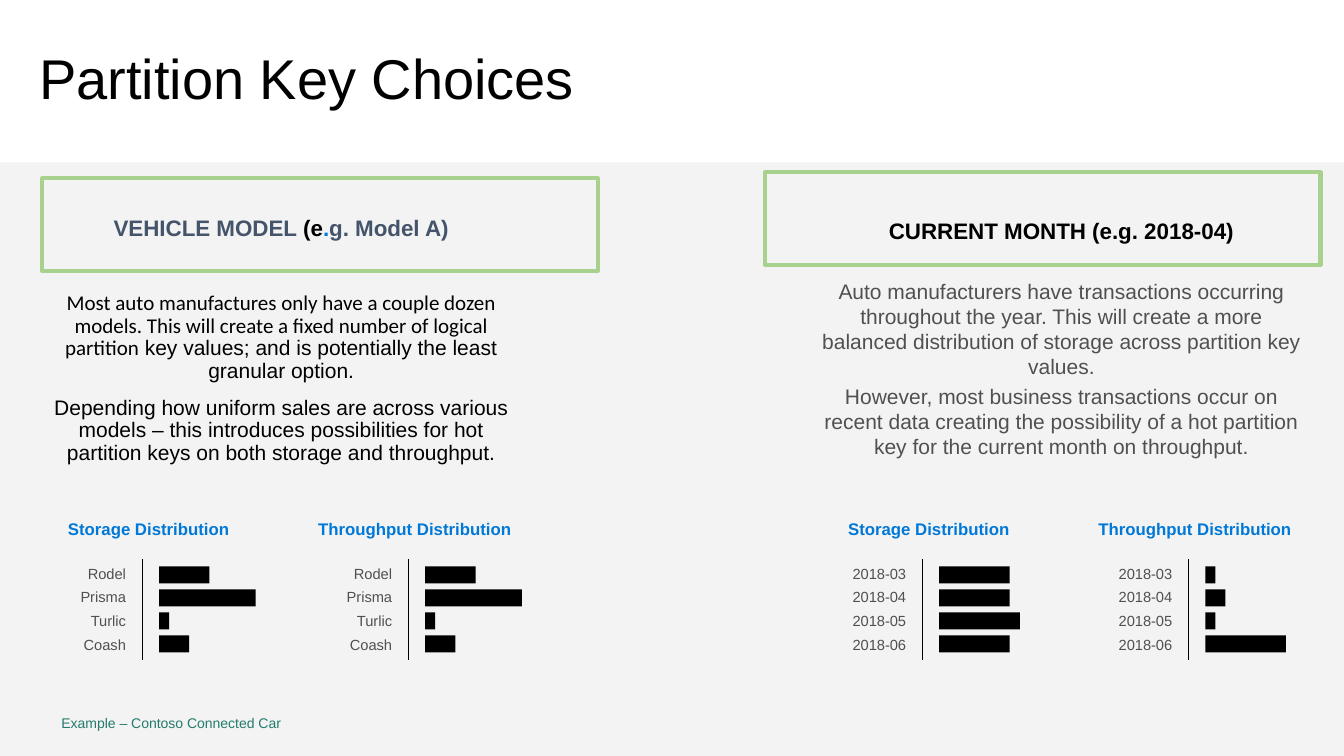
import pptx
import pptx.util
import pptx.dml.color
import pptx.enum.shapes
import pptx.enum.text
from lxml import etree

Pt = pptx.util.Pt
ALIGN = pptx.enum.text.PP_ALIGN
RECT = pptx.enum.shapes.MSO_SHAPE.RECTANGLE
LINE = pptx.enum.shapes.MSO_CONNECTOR.STRAIGHT
NS = "http://schemas.openxmlformats.org/drawingml/2006/main"
HUES = {"black": "000000", "panel": "F2F2F2", "slate": "44546A", "blue": "0078D7",
        "gray": "505050", "teal": "227B6D", "green": "A9D18E"}
RGB = {name: pptx.dml.color.RGBColor.from_string(code) for name, code in HUES.items()}

deck = pptx.Presentation()
deck.slide_width, deck.slide_height = Pt(960), Pt(540)
slide = deck.slides.add_slide(deck.slide_layouts[6])
shapes = slide.shapes


def add_text(box, paras, align, space=1.0, inset=True, middle=False):
    """Each paragraph is (space before, runs); a run is (text, size, hue, bold, font)."""
    frame = shapes.add_textbox(*map(Pt, box)).text_frame
    frame.word_wrap = True
    if not inset:
        frame.margin_left = frame.margin_right = frame.margin_top = frame.margin_bottom = 0
    if middle:
        frame.vertical_anchor = pptx.enum.text.MSO_ANCHOR.MIDDLE
    for i, (gap, runs) in enumerate(paras):
        para = frame.add_paragraph() if i else frame.paragraphs[0]
        para.alignment, para.line_spacing = align, space
        para.space_before = Pt(gap)
        for text, size, hue, bold, font in runs:
            run = para.add_run()
            run.text = text
            run.font.size, run.font.bold, run.font.name = Pt(size), bold, font
            run.font.color.rgb = RGB[hue]


def add_rect(box, fill=None, line=None):
    rect = shapes.add_shape(RECT, *map(Pt, box))
    rect.shadow.inherit = False
    if fill:
        rect.fill.solid()
        rect.fill.fore_color.rgb = RGB[fill]
    else:
        rect.fill.background()
    if line:
        rect.line.color.rgb, rect.line.width = RGB[line], Pt(3)
    else:
        rect.line.fill.background()
    return rect


# Background panel, slightly see-through
panel = add_rect((0, 115.9, 960, 424.1), "panel")
tint = panel.fill._xPr.find(f".//{{{NS}}}srgbClr")
etree.SubElement(tint, f"{{{NS}}}alpha", val="89000")

# Title
add_text((20.9, 23, 918, 70.6), [(0, [("Partition Key Choices", 40, "black", False, "Arial")])],
         ALIGN.LEFT, 0.9, middle=True)

# Left choice
add_text((20.9, 151.9, 360, 185.8), [
    (0, [("VEHICLE MODEL ", 16, "slate", True, "Arial"), ("(e", 16, "black", True, "Arial"),
         (".", 16, "blue", True, "Arial"), ("g. Model A)", 16, "slate", True, "Arial")]),
    (36, [("Most auto manufactures only have a couple dozen models. This will create a fixed "
           "number of logical partition", 15, "black", False, "Calibri"),
          (" key values; and is potentially the least granular option.",
           15, "black", False, "Arial")]),
    (10, [("Depending how uniform sales are across various models – this introduces "
           "possibilities for hot partition keys on both storage and throughput.",
           15, "black", False, "Arial")])], ALIGN.CENTER, 0.9)

# Right choice
add_text((578.2, 151.9, 360, 182.9), [
    (0, [("CURRENT MONTH (e.g. 2018-04)", 16, "black", True, "Arial")]),
    (24, [("Auto manufacturers have transactions occurring throughout the year. This will "
           "create a more balanced distribution of storage across partition key values.",
           15, "gray", False, "Arial")]),
    (3, [("However, most business transactions occur on recent data creating the possibility "
          "of a hot partition key for the current month on throughput.",
          15, "gray", False, "Arial")])], ALIGN.CENTER)

# Bar sketches: two per choice, 7.2 points of bar per unit
models = ["Rodel", "Prisma", "Turlic", "Coash"]
months = ["2018-03", "2018-04", "2018-05", "2018-06"]
plots = [(0, "Storage", models, [5, 9.6, 1, 3]),
         (190.1, "Throughput", models, [5, 9.6, 1, 3]),
         (557.3, "Storage", months, [7, 7, 8, 7]),
         (747.4, "Throughput", months, [1, 2, 1, 8])]
for left, topic, names, sizes in plots:
    add_text((left + 25.2, 367.2, 162, 21.6),
             [(0, [(f"{topic} Distribution", 12, "blue", True, "Arial")])], ALIGN.CENTER)
    for i, (name, size) in enumerate(zip(names, sizes)):
        add_text((left + 30.2, 404.6 + 16.85 * i, 59.8, 11.5),
                 [(0, [(name, 10.5, "gray", False, "Arial")])],
                 ALIGN.RIGHT, 0.9, inset=False, middle=True)
        add_rect((left + 113.6, 404.6 + 16.4 * i, 7.2 * size, 12.2), "black")
    axis = shapes.add_connector(LINE, Pt(left + 101.6), Pt(399.6), Pt(left + 101.6), Pt(471.6))
    axis.line.color.rgb, axis.line.width = RGB["black"], Pt(0.5)
    etree.SubElement(axis._element.spPr, f"{{{NS}}}effectLst")

# Footer
add_text((43.9, 511.9, 158.4, 10.8),
         [(0, [("Example – Contoso Connected Car", 10, "teal", False, "Arial")])],
         ALIGN.LEFT, 0.9, inset=False, middle=True)

# Heading frames
for left, top in [(30.2, 127.4), (546.5, 123.1)]:
    add_rect((left, top, 396.7, 66.2), line="green")

deck.save("out.pptx")
